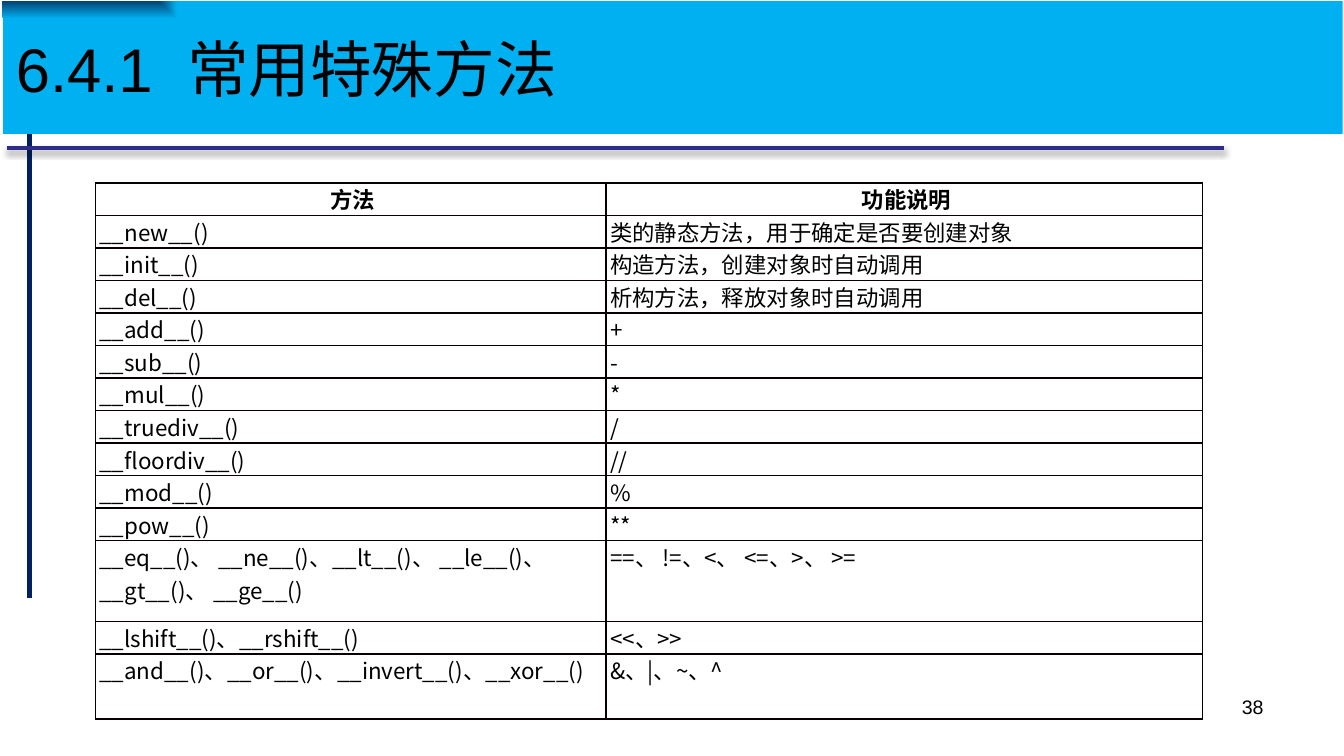
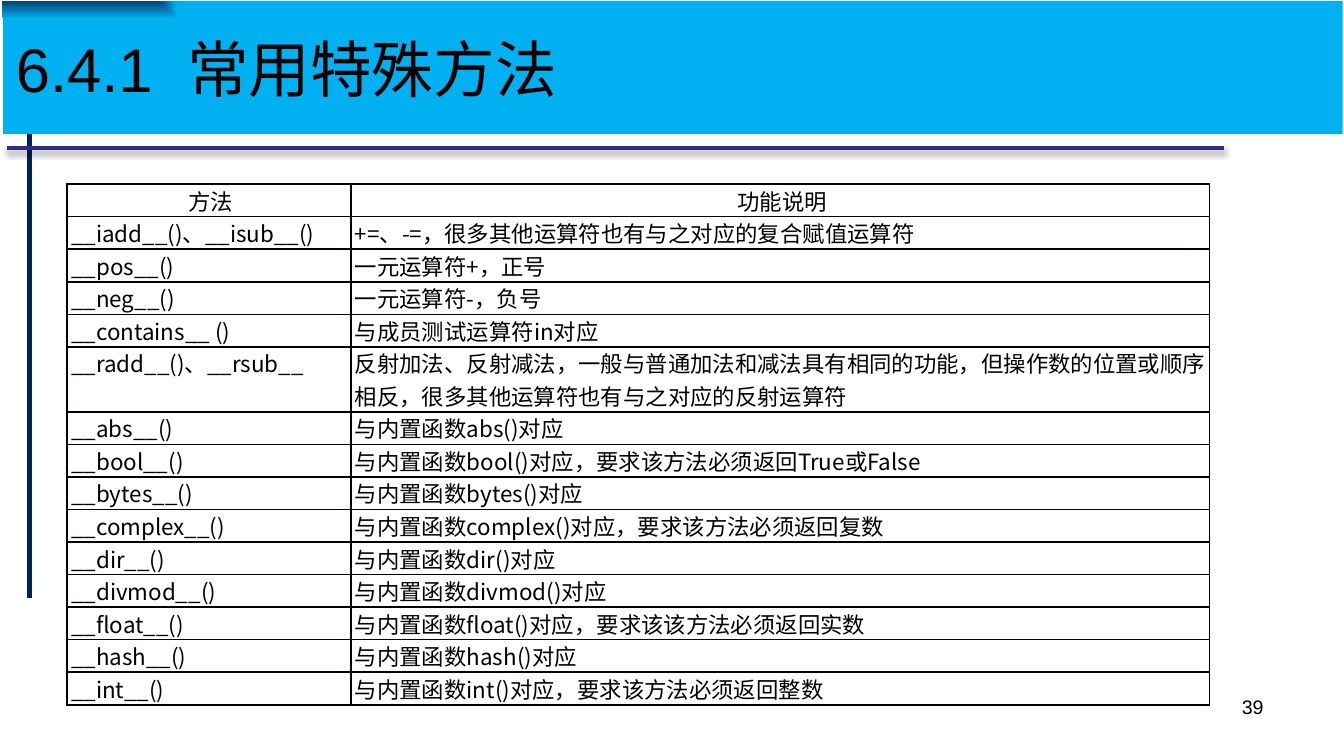
"""Builds two slides of tables listing Python special methods."""
from dataclasses import dataclass

from lxml import etree
from pptx import Presentation
from pptx import util as u
from pptx.dml.color import RGBColor
from pptx.enum import shapes, text
from pptx.oxml import ns

TITLE = "6.4.1  常用特殊方法"
HEADER = ("方法", "功能说明")
PAGES = [
    {
        "number": 38, "left": 0.71, "top": 1.36, "columns": (3.8, 4.44),
        "bold_header": True, "tall_rows": {11: 0.6, 13: 0.42},
        "rows": [
            ("__new__()", "类的静态方法，用于确定是否要创建对象"),
            ("__init__()", "构造方法，创建对象时自动调用"),
            ("__del__()", "析构方法，释放对象时自动调用"),
            ("__add__()", "+"),
            ("__sub__()", "-"),
            ("__mul__()", "*"),
            ("__truediv__()", "/"),
            ("__floordiv__()", "//"),
            ("__mod__()", "%"),
            ("__pow__()", "**"),
            ("__eq__()、 __ne__()、__lt__()、 __le__()、__gt__()、 __ge__()",
             "==、 !=、<、 <=、>、 >="),
            ("__lshift__()、__rshift__()", "<<、>>"),
            ("__and__()、__or__()、__invert__()、__xor__()", "&、|、~、^"),
        ],
    },
    {
        "number": 39, "left": 0.5, "top": 1.37, "columns": (2.11, 6.39),
        "bold_header": False, "tall_rows": {5: 0.42},
        "rows": [
            ("__iadd__()、__isub__()", "+=、-=，很多其他运算符也有与之对应的复合赋值运算符"),
            ("__pos__()", "一元运算符+，正号"),
            ("__neg__()", "一元运算符-，负号"),
            ("__contains__ ()", "与成员测试运算符in对应"),
            ("__radd__()、__rsub__",
             "反射加法、反射减法，一般与普通加法和减法具有相同的功能，"
             "但操作数的位置或顺序相反，很多其他运算符也有与之对应的反射运算符"),
            ("__abs__()", "与内置函数abs()对应"),
            ("__bool__()", "与内置函数bool()对应，要求该方法必须返回True或False"),
            ("__bytes__()", "与内置函数bytes()对应"),
            ("__complex__()", "与内置函数complex()对应，要求该方法必须返回复数"),
            ("__dir__()", "与内置函数dir()对应"),
            ("__divmod__()", "与内置函数divmod()对应"),
            ("__float__()", "与内置函数float()对应，要求该该方法必须返回实数"),
            ("__hash__()", "与内置函数hash()对应"),
            ("__int__()", "与内置函数int()对应，要求该方法必须返回整数"),
        ],
    },
]


@dataclass(frozen=True)
class Theme:
    ink: str = "000000"
    grid: str = "080000"
    band: str = "00B0F0"
    band_corner: str = "034373"
    upright: str = "002060"
    rule: str = "2D2D89"
    latin: str = "Arial"
    chinese: str = "Noto Sans CJK SC"
    title_size: float = 33
    table_size: float = 12
    number_size: float = 10.5
    rule_width: float = 2.25
    row_height: float = 0.21


THEME = Theme()


def add_child(parent, tag, **attributes):
    child = etree.SubElement(parent, ns.qn(tag))
    for name, value in attributes.items():
        child.set(name, str(value))
    return child


def add_color(parent, color):
    return add_child(parent, "a:srgbClr", val=color)


def add_span(para, content, size, font, bold=False):
    span = para.add_run()
    span.text = content
    span.font.size = u.Pt(size)
    span.font.name = font
    span.font.bold = bold
    span.font.color.rgb = RGBColor.from_string(THEME.ink)
    add_child(span.font._element, "a:ea", typeface=THEME.chinese)


def add_rule(page, start, end, color, shadow=False):
    points = [u.Inches(value) for value in (*start, *end)]
    rule = page.shapes.add_connector(shapes.MSO_CONNECTOR.STRAIGHT, *points)
    rule.line.color.rgb = RGBColor.from_string(color)
    rule.line.width = u.Pt(THEME.rule_width)
    effects = add_child(rule._element.spPr, "a:effectLst")
    if shadow:
        outer = add_child(effects, "a:outerShdw", blurRad=u.Pt(3.1), dist=u.Pt(1.8),
                          dir=90 * 60000, algn="t", rotWithShape=0)
        add_child(add_color(outer, THEME.ink), "a:alpha", val=35000)


def add_title(page):
    band = page.shapes.add_shape(
        shapes.MSO_SHAPE.RECTANGLE,
        u.Inches(0.02), u.Inches(0.01), u.Inches(9.97), u.Inches(0.99))
    band.shadow.inherit = False
    band.line.fill.background()
    band.fill.gradient()
    gradient = band._element.spPr.find(ns.qn("a:gradFill"))
    for child in list(gradient):
        gradient.remove(child)
    stops = add_child(gradient, "a:gsLst")
    for position, color in ((0, THEME.band_corner), (26, THEME.band)):
        add_color(add_child(stops, "a:gs", pos=position * 1000), color)
    focus = add_child(gradient, "a:path", path="rect")
    add_child(focus, "a:fillToRect", r=100000, b=100000)
    frame = band.text_frame
    frame.word_wrap = True
    frame.vertical_anchor = text.MSO_ANCHOR.MIDDLE
    para = frame.paragraphs[0]
    para.alignment = text.PP_ALIGN.LEFT
    add_span(para, TITLE, THEME.title_size, THEME.latin)


def add_number(page, number):
    box = page.shapes.add_textbox(
        u.Inches(7.17), u.Inches(5.12), u.Inches(2.33), u.Inches(0.39))
    box.text_frame.word_wrap = True
    para = box.text_frame.paragraphs[0]
    para.alignment = text.PP_ALIGN.RIGHT
    add_span(para, str(number), THEME.number_size, THEME.latin)


def set_borders(cell, last_column):
    properties = cell._tc.get_or_add_tcPr()
    for side in "LRTB":
        outer = last_column and side == "R"
        color, width = (THEME.ink, 0.75) if outer else (THEME.grid, 1)
        line = add_child(properties, f"a:ln{side}", w=u.Pt(width))
        add_color(add_child(line, "a:solidFill"), color)


def fill_cell(cell, content, is_header, bold, last_column):
    cell.margin_left = u.Inches(0.03)
    cell.margin_right = cell.margin_top = cell.margin_bottom = 0
    set_borders(cell, last_column)
    cell.fill.background()
    para = cell.text_frame.paragraphs[0]
    para.alignment = text.PP_ALIGN.CENTER if is_header else text.PP_ALIGN.LEFT
    add_span(para, content, THEME.table_size, THEME.chinese, bold)


def add_methods(page, content):
    rows = [HEADER, *content["rows"]]
    widths = content["columns"]
    heights = [content["tall_rows"].get(index, THEME.row_height)
               for index in range(len(rows))]
    table = page.shapes.add_table(
        len(rows), len(widths), u.Inches(content["left"]), u.Inches(content["top"]),
        u.Inches(sum(widths)), u.Inches(sum(heights))).table
    table.first_row = table.horz_banding = False
    for column, width in zip(table.columns, widths):
        column.width = u.Inches(width)
    for index, (row, height) in enumerate(zip(table.rows, heights)):
        row.height = u.Inches(height)
        is_header = index == 0
        for position, cell in enumerate(row.cells):
            fill_cell(cell, rows[index][position], is_header,
                      is_header and content["bold_header"],
                      position == len(widths) - 1)


def main():
    deck = Presentation()
    deck.slide_width = u.Inches(10)
    deck.slide_height = deck.slide_width * 9 // 16
    for content in PAGES:
        page = deck.slides.add_slide(deck.slide_layouts[6])
        add_rule(page, (0.22, 0.81), (0.22, 4.45), THEME.upright)
        add_rule(page, (0.05, 1.1), (9.11, 1.1), THEME.rule, shadow=True)
        add_methods(page, content)
        add_title(page)
        add_number(page, content["number"])
    deck.save("out.pptx")


if __name__ == "__main__":
    main()
